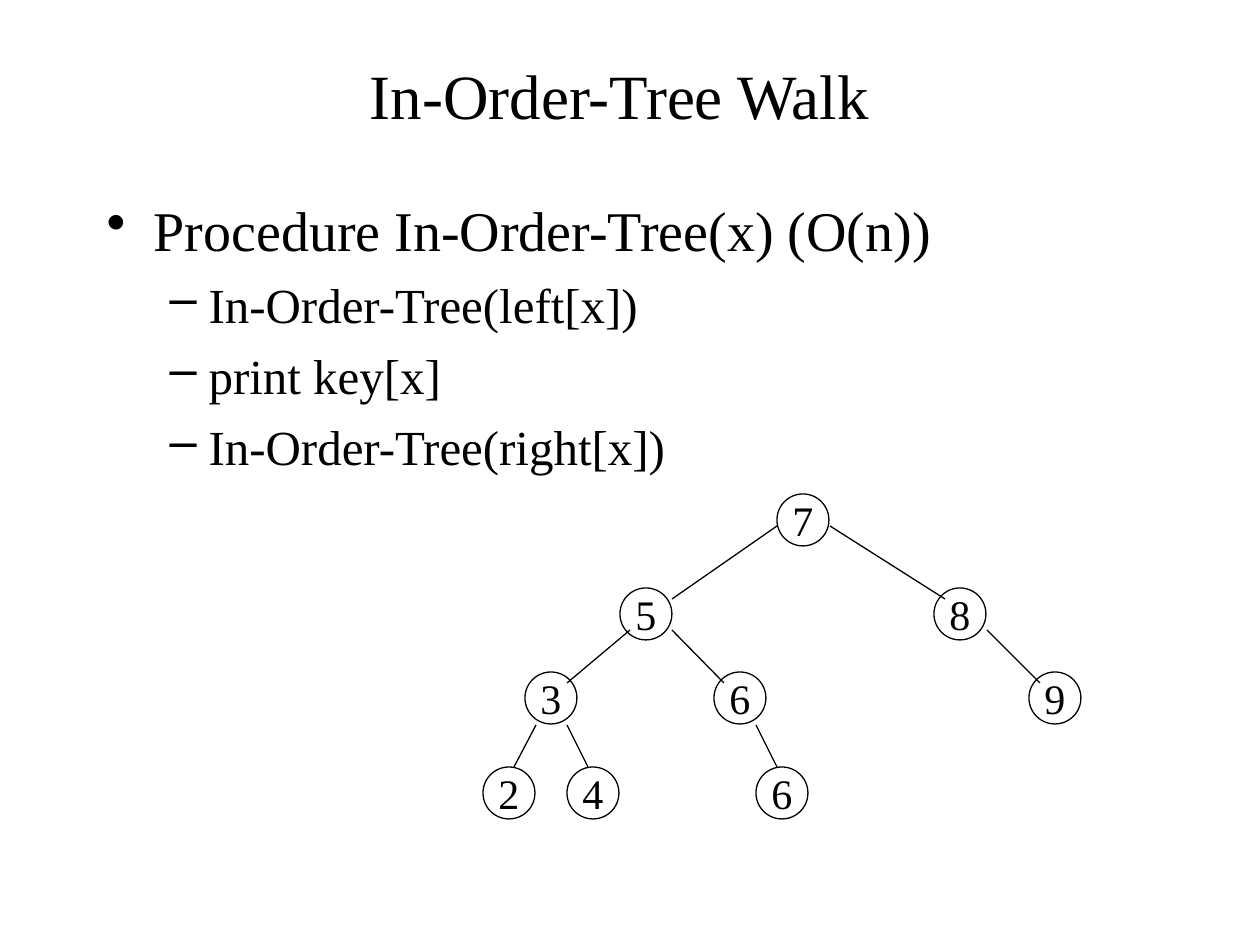
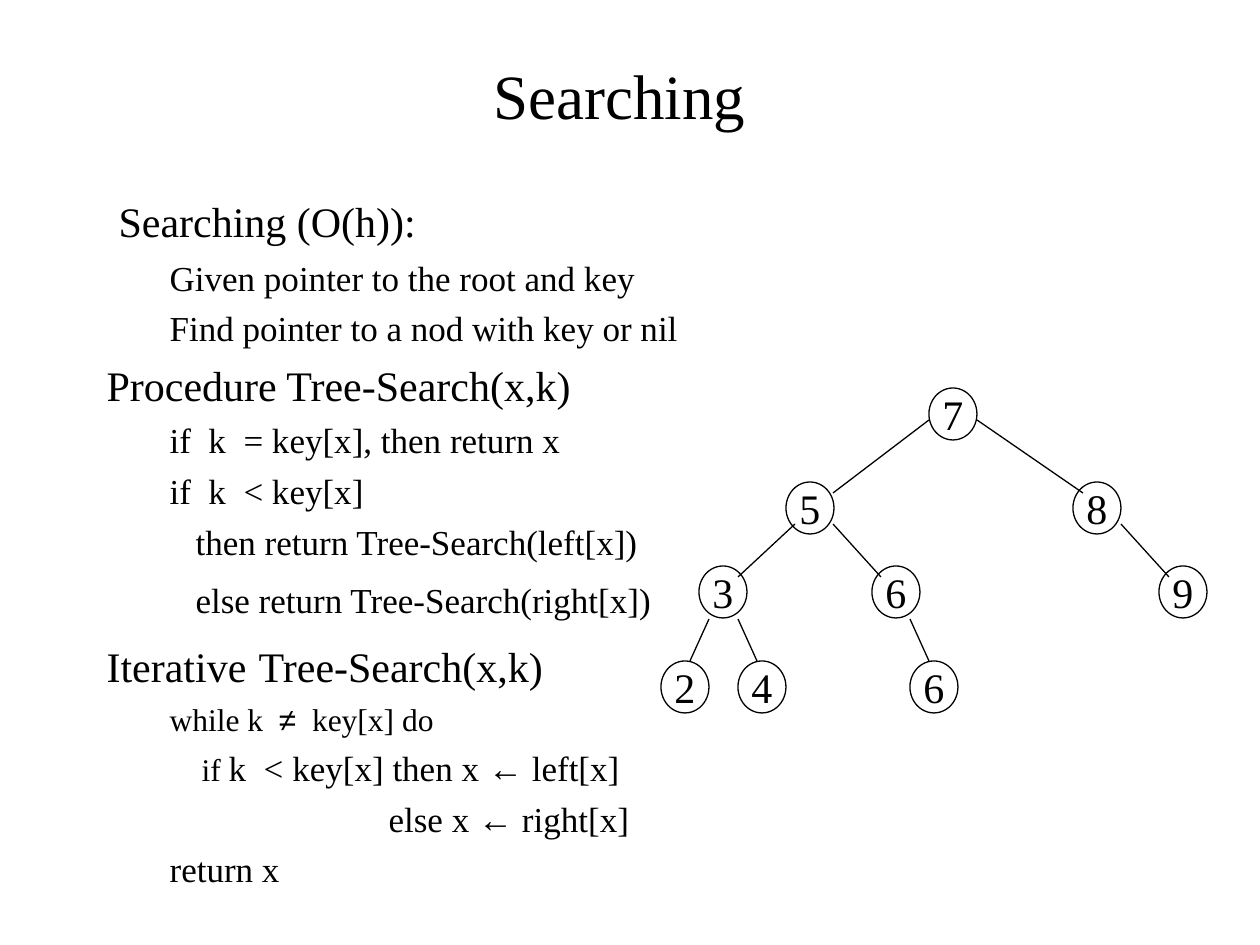
from lxml import etree
from pptx import Presentation, util as u
from pptx.dml.color import RGBColor
from pptx.enum import shapes, text
from pptx.oxml import ns

# Shared look
EMU_PER_PIXEL = 914400 / 126
BLACK = RGBColor(0, 0, 0)
SERIF, SYMBOL_FONT = "Times New Roman", "Arial"
SYMBOLS = ("≠", "←")
LINE_WIDTH = u.Pt(0.74)
ROW_STEP = 10.5  # pixels in one vertical unit of the tree grid
NODE_UNITS = 5   # node diameter in grid units

# The tree in grid units: (key, column, row) and (start, end)
NODES = [("7", 28, 0), ("5", 13, 9), ("8", 43, 9),
         ("3", 4, 17), ("6", 22, 17), ("9", 52, 17),
         ("2", 0, 26), ("4", 8, 26), ("6", 26, 26)]
EDGES = [((28, 3), (18, 10)), ((33, 3), (44, 10)),
         ((14, 13), (8, 18)), ((18, 13), (23, 18)), ((48, 13), (53, 18)),
         ((5, 22), (3, 26)), ((8, 22), (10, 26)), ((26, 22), (28, 26))]

# Each line: level, left margin, first-line indent, space before, bullet, runs
WALK_LINES = [
    (0, 47, -47, 8, "•", [("Procedure In-Order-Tree(x) (O(n))", 32)]),
    (1, 102, -39, 7, "–", [("In-Order-Tree(left[x])", 28)]),
    (1, 102, -39, 7, "–", [("print key[x]", 28)]),
    (1, 102, -39, 7, "–", [("In-Order-Tree(right[x])", 28)]),
]
SEARCH_LINES = [
    (0, 12, 0, 9.5, None, [("Searching (O(h)):", 24)]),
    (1, 63, 0, 6, None, [("Given pointer to the root and key", 20)]),
    (1, 63, 0, 5, None, [("Find pointer to a nod with key or nil", 20)]),
    (0, 0, 0, 6, None, [("Procedure Tree-Search(x,k)", 24)]),
    (1, 63, 0, 5, None, [("if  k  = key[x], then return x", 20)]),
    (1, 63, 0, 5, None, [("if  k  < key[x]", 20)]),
    (1, 89, 0, 5, None, [("then return Tree-Search(left[x])", 20)]),
    (1, 89, 0, 9.5, None, [("else return Tree-Search(right[x])", 20)]),
    (0, 0, 0, 7, None, [("Iterative", 24), (" ", 28), ("Tree-Search(x,k)", 24)]),
    (1, 63, 0, 4.5, None, [("while k  ", 18), ("≠", 18), ("  key[x] do", 18)]),
    (1, 95, 0, 5, None, [("if ", 18), ("k  < key[x] then x ", 20),
                         ("←", 20), (" left[x]", 20)]),
    (1, 282, 0, 5, None, [("else x ", 20), ("←", 20), (" right[x]", 20)]),
    (1, 63, 0, 5, None, [("return x", 20)]),
]

# Each page: title, lines, tree left, tree top, pixels per column unit
PAGES = [
    ("In-Order-Tree Walk", WALK_LINES, 483, 494, 10.5),
    ("Searching", SEARCH_LINES, 661, 388, 9.58),
]


def px(pixels):
    return u.Emu(round(round(pixels) * EMU_PER_PIXEL))


def style(span, size):
    span.font.size = u.Pt(size)
    span.font.name = SYMBOL_FONT if span.text in SYMBOLS else SERIF
    span.font.color.rgb = BLACK


deck = Presentation()
deck.slide_width, deck.slide_height = px(1260), px(945)

for heading, lines, tree_left, tree_top, column_step in PAGES:
    page = deck.slides.add_slide(deck.slide_layouts[1])

    # Title
    title = page.shapes.title
    title.left, title.top, title.width, title.height = px(84), px(42), px(1071), px(105)
    title.text_frame.text = heading
    title.text_frame.auto_size = text.MSO_AUTO_SIZE.NONE
    title.text_frame.vertical_anchor = text.MSO_ANCHOR.MIDDLE
    title.text_frame.paragraphs[0].alignment = text.PP_ALIGN.CENTER
    style(title.text_frame.paragraphs[0].runs[0], 36)

    # Body list
    body = page.placeholders[1]
    body.left, body.top, body.width, body.height = px(94), px(189), px(1071), px(703)
    frame = body.text_frame
    frame.text = "\n".join("" for _ in lines)
    frame.auto_size = text.MSO_AUTO_SIZE.NONE
    for para, (level, margin, indent, before, bullet, spans) in zip(frame.paragraphs, lines):
        para.level = level
        para.space_before = u.Pt(before)
        for words, size in spans:
            span = para.add_run()
            span.text = words
            style(span, size)
        properties = para._p.get_or_add_pPr()
        properties.set("marL", str(px(margin)))
        properties.set("indent", str(px(indent)))
        if bullet:
            etree.SubElement(properties, ns.qn("a:buFontTx"))
            etree.SubElement(properties, ns.qn("a:buChar"), char=bullet)
        else:
            etree.SubElement(properties, ns.qn("a:buNone"))

    # Tree nodes
    for key, column, row in NODES:
        node = page.shapes.add_shape(
            shapes.MSO_SHAPE.OVAL,
            px(tree_left + column * column_step), px(tree_top + row * ROW_STEP),
            px(NODE_UNITS * column_step), px(NODE_UNITS * ROW_STEP))
        node.shadow.inherit = False
        node.fill.background()
        node.line.color.rgb = BLACK
        node.line.width = LINE_WIDTH
        node.text_frame.text = key
        node.text_frame.word_wrap = False
        node.text_frame.vertical_anchor = text.MSO_ANCHOR.MIDDLE
        node.text_frame.paragraphs[0].alignment = text.PP_ALIGN.CENTER
        style(node.text_frame.paragraphs[0].runs[0], 24)

    # Tree edges
    for start, end in EDGES:
        ends = [px(value) for column, row in (start, end)
                for value in (tree_left + column * column_step, tree_top + row * ROW_STEP)]
        edge = page.shapes.add_connector(shapes.MSO_CONNECTOR.STRAIGHT, *ends)
        edge.line.color.rgb = BLACK
        edge.line.width = LINE_WIDTH
        etree.SubElement(edge._element.spPr, ns.qn("a:effectLst"))

deck.save("out.pptx")
